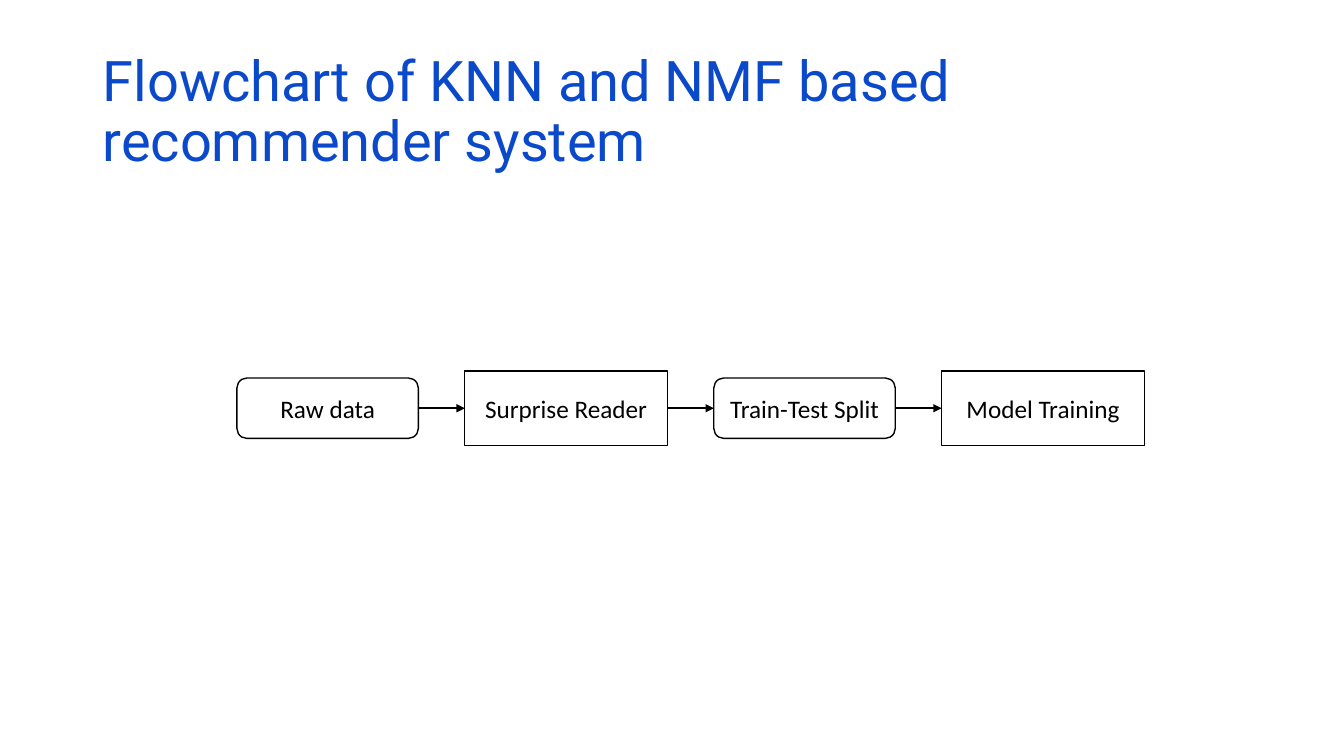
from lxml import etree
from pptx import Presentation
from pptx import util as u
from pptx.dml.color import RGBColor
from pptx.enum import shapes, text
from pptx.oxml.ns import qn

COLORS = {"title": "0B49CB", "ink": "000000", "paper": "FFFFFF"}
ROUNDED = shapes.MSO_SHAPE.ROUNDED_RECTANGLE
RECT = shapes.MSO_SHAPE.RECTANGLE

# Each kind of step: width, height, fill
STEP_STYLES = {ROUNDED: (1.8, 0.6, None), RECT: (2.01, 0.74, "paper")}
STEPS = [
    ("Raw data", ROUNDED),
    ("Surprise Reader", RECT),
    ("Train-Test Split", ROUNDED),
    ("Model Training", RECT),
]
FLOW_LEFT, FLOW_MIDDLE, GAP = 2.35, 4.05, 0.46


def rgb(name):
    return RGBColor.from_string(COLORS[name])


def write(sp, content, *, font="Calibri", size=18, color="ink",
          align=text.PP_ALIGN.CENTER, spacing=1.0):
    tf = sp.text_frame
    tf.word_wrap = True
    tf.vertical_anchor = text.MSO_ANCHOR.MIDDLE
    p = tf.paragraphs[0]
    p.alignment = align
    p.line_spacing = spacing
    r = p.add_run()
    r.text = content
    r.font.name = font
    r.font.size = u.Pt(size)
    r.font.color.rgb = rgb(color)


def add_title(s, content):
    sp = s.shapes.add_textbox(u.Inches(0.92), u.Inches(0.4),
                              u.Inches(11.5), u.Inches(1.45))
    write(sp, content, font="Roboto", size=40, color="title",
          align=text.PP_ALIGN.LEFT, spacing=0.9)


def add_step(s, label, kind, left):
    width, height, fill = STEP_STYLES[kind]
    sp = s.shapes.add_shape(kind, u.Inches(left),
                            u.Inches(FLOW_MIDDLE - height / 2),
                            u.Inches(width), u.Inches(height))
    sp.shadow.inherit = False
    if fill:
        sp.fill.solid()
        sp.fill.fore_color.rgb = rgb(fill)
    else:
        sp.fill.background()
    sp.line.color.rgb = rgb("ink")
    sp.line.width = u.Pt(1)
    write(sp, label)
    return left + width


def add_arrow(s, start, end):
    y = u.Inches(FLOW_MIDDLE)
    arrow = s.shapes.add_connector(shapes.MSO_CONNECTOR.STRAIGHT,
                                   u.Inches(start), y, u.Inches(end), y)
    arrow.line.color.rgb = rgb("ink")
    arrow.line.width = u.Pt(1.25)
    # Arrowhead, and no shadow
    etree.SubElement(arrow.line._get_or_add_ln(), qn("a:tailEnd"), type="triangle")
    etree.SubElement(arrow._element.spPr, qn("a:effectLst"))


def main():
    prs = Presentation()
    prs.slide_width, prs.slide_height = u.Inches(13.33), u.Inches(7.5)
    s = prs.slides.add_slide(prs.slide_layouts[6])

    add_title(s, "Flowchart of KNN and NMF based recommender system")

    # Steps from left to right, joined by arrows
    left = FLOW_LEFT
    for i, (label, kind) in enumerate(STEPS):
        if i:
            add_arrow(s, left - GAP, left)
        left = add_step(s, label, kind, left) + GAP

    prs.save("out.pptx")


if __name__ == "__main__":
    main()
